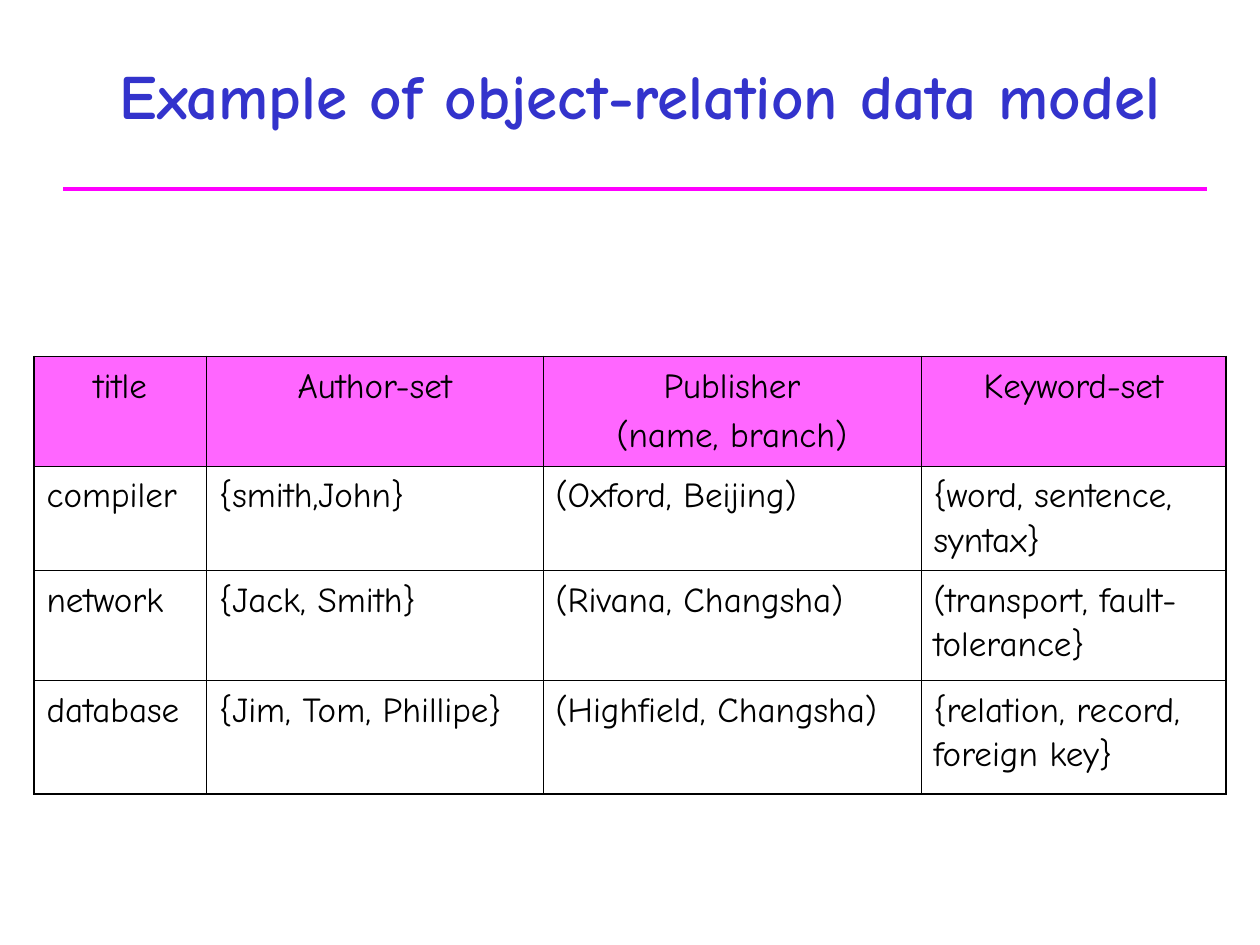
from dataclasses import dataclass

from lxml import etree
from pptx import Presentation
from pptx import util as u
from pptx.dml.color import RGBColor
from pptx.enum import shapes, text
from pptx.oxml import ns

BLACK = RGBColor(0, 0, 0)
BLUE = RGBColor(0x33, 0x33, 0xCC)
PINK = RGBColor(0xFF, 0x66, 0xFF)
MAGENTA = RGBColor(0xFF, 0, 0xFF)
FACE = "Comic Neue"
THIN, THICK = 0.45, 1.08
HEAD = {"name": FACE, "size": u.Pt(36), "bold": True}
BODY = {"name": FACE, "size": u.Pt(20), "bold": False}
PADS = {"margin_left": u.Inches(0.1), "margin_right": u.Inches(0.1),
        "margin_top": u.Inches(0.05), "margin_bottom": u.Inches(0.05)}


@dataclass
class Book:
    title: str
    authors: str
    press: str
    words: str

    def cells(self) -> list[str]:
        return [self.title, self.authors, self.press, self.words]


LABELS = Book("title", "Author-set", "Publisher\n(name, branch)", "Keyword-set")
BOOKS = [
    Book("compiler", "{smith,John}", "(Oxford, Beijing)",
         "{word, sentence, syntax}"),
    Book("network", "{Jack, Smith}", "(Rivana, Changsha)",
         "(transport, fault-tolerance}"),
    Book("database", "{Jim, Tom, Phillipe}", "(Highfield, Changsha)",
         "{relation, record, foreign key}"),
]
COLS = [1.37, 2.67, 3, 2.42]
ROWS = [0.87, 0.83, 0.87, 0.9]


def apply(item, values: dict) -> None:
    for key, value in values.items():
        setattr(item, key, value)


def style(par, look: dict, color: RGBColor, align) -> None:
    par.alignment = align
    apply(par.font, look)
    par.font.color.rgb = color


def border(cell, row: int, col: int) -> None:
    edges = {"lnL": col == 0, "lnR": col == len(COLS) - 1,
             "lnT": row == 0, "lnB": row == len(ROWS) - 1}
    props = cell._tc.get_or_add_tcPr()
    for spot, (tag, outer) in enumerate(edges.items()):
        line = etree.Element(ns.qn(f"a:{tag}"))
        line.set("w", str(u.Pt(THICK if outer else THIN)))
        fill = etree.SubElement(line, ns.qn("a:solidFill"))
        etree.SubElement(fill, ns.qn("a:srgbClr")).set("val", str(BLACK))
        props.insert(spot, line)


def write(cell, words: str, row: int, col: int) -> None:
    cell.text = words
    apply(cell, PADS)
    if row == 0:
        cell.fill.solid()
        cell.fill.fore_color.rgb = PINK
    else:
        cell.fill.background()
    align = text.PP_ALIGN.LEFT if row else text.PP_ALIGN.CENTER
    for spot, par in enumerate(cell.text_frame.paragraphs):
        style(par, BODY, BLACK, align)
        par.line_spacing = 1.1
        par.space_before = u.Pt(2.5 if spot else 0)
    border(cell, row, col)


def add_title(slide) -> None:
    title = slide.shapes.title
    apply(title, {"left": u.Inches(0.83), "top": u.Inches(0.25),
                  "width": u.Inches(8.5), "height": u.Inches(1)})
    frame = title.text_frame
    frame.text = "Example of object-relation data model"
    apply(frame, {"auto_size": text.MSO_AUTO_SIZE.NONE, "word_wrap": True,
                  "vertical_anchor": text.MSO_ANCHOR.MIDDLE})
    style(frame.paragraphs[0], HEAD, BLUE, text.PP_ALIGN.CENTER)


def add_rule(slide) -> None:
    rule = slide.shapes.add_connector(
        shapes.MSO_CONNECTOR.STRAIGHT, u.Inches(0.5), u.Inches(1.5),
        u.Inches(9.58), u.Inches(1.5))
    rule.line.color.rgb = MAGENTA
    rule.line.width = u.Pt(2)
    etree.SubElement(rule._element.spPr, ns.qn("a:effectLst"))


def add_books(slide) -> None:
    table = slide.shapes.add_table(
        len(ROWS), len(COLS), u.Inches(0.27), u.Inches(2.83),
        u.Inches(sum(COLS)), u.Inches(sum(ROWS))).table
    apply(table, {"first_row": False, "horz_banding": False})
    for col, width in zip(table.columns, COLS):
        col.width = u.Inches(width)
    for row, height in zip(table.rows, ROWS):
        row.height = u.Inches(height)
    for row, book in enumerate([LABELS, *BOOKS]):
        for col, words in enumerate(book.cells()):
            write(table.cell(row, col), words, row, col)


def main() -> None:
    deck = Presentation()
    apply(deck, {"slide_width": u.Inches(10), "slide_height": u.Inches(7.5)})
    slide = deck.slides.add_slide(deck.slide_layouts.get_by_name("Title Only"))
    add_rule(slide)
    add_title(slide)
    add_books(slide)
    deck.save("out.pptx")


if __name__ == "__main__":
    main()
